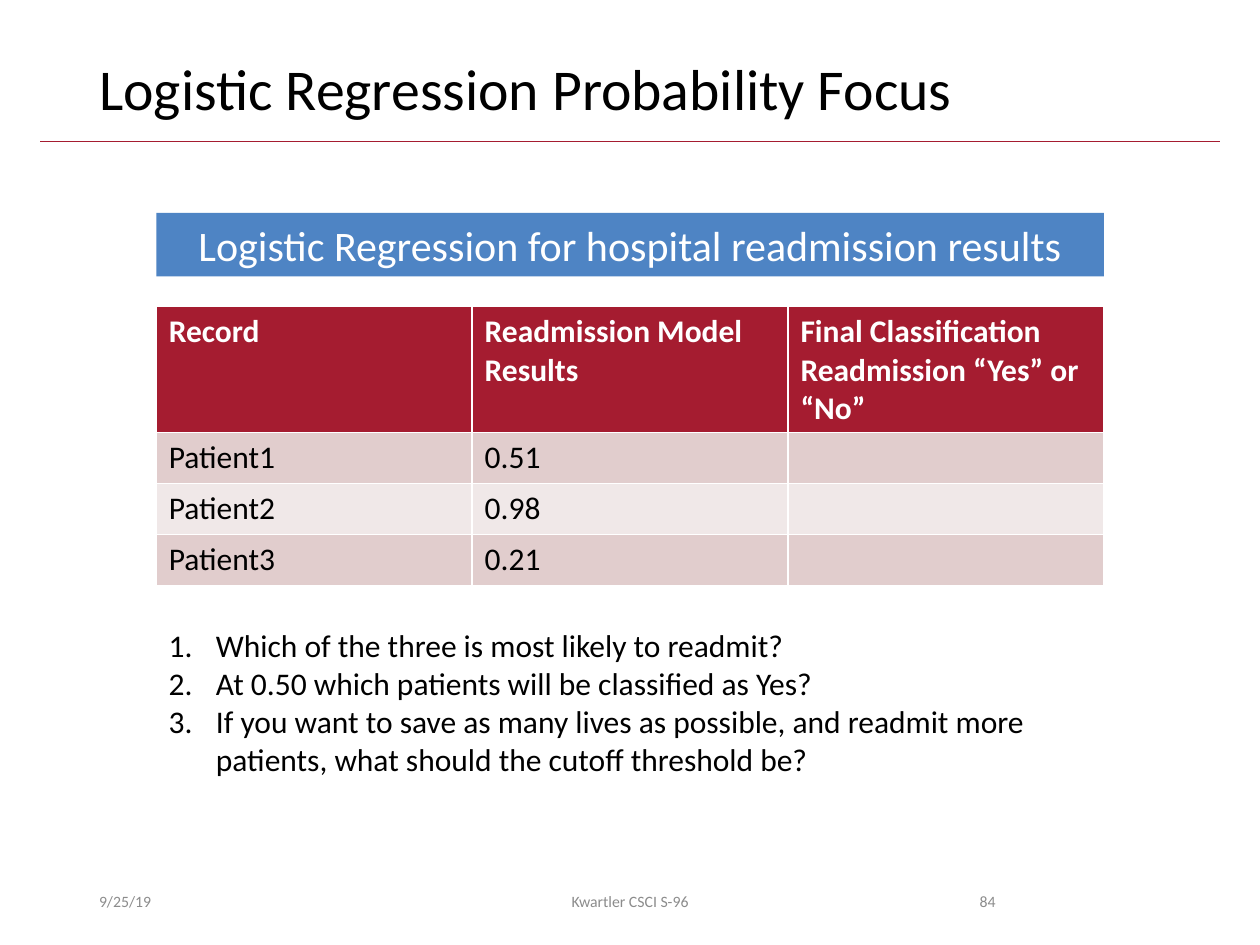
import pptx
import pptx.util
import pptx.dml.color
import pptx.enum.shapes
import pptx.enum.text
import pptx.oxml.ns
from lxml import etree

Pt = pptx.util.Pt
ALIGN = pptx.enum.text.PP_ALIGN
ANCHOR = pptx.enum.text.MSO_ANCHOR
CRIMSON, BLUE, GREY, WHITE, BLACK = "A51C30", "4E84C4", "8C8C8C", "FFFFFF", "000000"
BANDS = ("E1CDCD", "F0E8E8")
LEFT, WIDTH = 89.3, 541.5
RESULTS = [
    ("Record", "Readmission Model Results", "Final Classification\nReadmission “Yes” or “No”"),
    ("Patient1", "0.51", ""),
    ("Patient2", "0.98", ""),
    ("Patient3", "0.21", ""),
]
QUESTIONS = [
    "Which of the three is most likely to readmit?",
    "At 0.50 which patients will be classified as Yes?",
    "If you want to save as many lives as possible, and readmit more patients, "
    "what should the cutoff threshold be?",
]
FOOTERS = [
    ("9/25/19", 49.5, 162, ALIGN.LEFT),
    ("84", 508.5, 67.5, ALIGN.RIGHT),
    ("Kwartler CSCI S-96", 238.5, 243, ALIGN.CENTER),
]


def rgb(value):
    """Turn a hex string into a colour."""
    return pptx.dml.color.RGBColor.from_string(value)


def fill_solid(target, color):
    """Give a shape or cell a plain fill."""
    target.fill.solid()
    target.fill.fore_color.rgb = rgb(color)


def write(frame, text, size, color, align=ALIGN.LEFT, bold=False, numbered=False):
    """Write the lines of text as formatted paragraphs."""
    frame.word_wrap = True
    frame.text = text
    for paragraph in frame.paragraphs:
        if numbered:
            properties = paragraph._p.get_or_add_pPr()
            properties.set("marL", str(Pt(27)))
            properties.set("indent", str(-Pt(27)))
            number = etree.SubElement(properties, pptx.oxml.ns.qn("a:buAutoNum"))
            number.set("type", "arabicPeriod")
        paragraph.alignment = align
        font = paragraph.font
        font.name, font.size, font.bold = "Calibri", Pt(size), bold
        font.color.rgb = rgb(color)


def add_title(slide, text):
    """Place and format the title."""
    title = slide.shapes.title
    title.left, title.top, title.width, title.height = Pt(49.5), Pt(28.8), Pt(621), Pt(46.8)
    write(title.text_frame, text, 33, BLACK)
    title.text_frame.auto_size = pptx.enum.text.MSO_AUTO_SIZE.NONE
    title.text_frame.vertical_anchor = ANCHOR.MIDDLE
    title.text_frame.paragraphs[0].line_spacing = 0.9


def add_rule(slide):
    """Draw the thin line below the title."""
    rule = slide.shapes.add_connector(
        pptx.enum.shapes.MSO_CONNECTOR.STRAIGHT, Pt(23), Pt(80.6), Pt(697), Pt(80.6))
    rule.line.color.rgb = rgb(CRIMSON)
    rule.line.width = Pt(0.5)
    etree.SubElement(rule._element.spPr, pptx.oxml.ns.qn("a:effectLst"))


def add_text(slide, text, left, top, width, height, size, color,
             anchor=ANCHOR.TOP, **style):
    """Add a text box."""
    frame = slide.shapes.add_textbox(Pt(left), Pt(top), Pt(width), Pt(height)).text_frame
    write(frame, text, size, color, **style)
    frame.vertical_anchor = anchor


def add_banner(slide, text):
    """Add the coloured heading bar above the table."""
    banner = slide.shapes.add_shape(
        pptx.enum.shapes.MSO_SHAPE.RECTANGLE, Pt(LEFT), Pt(121.7), Pt(WIDTH), Pt(36.3))
    banner.shadow.inherit = False
    fill_solid(banner, BLUE)
    banner.line.fill.background()
    write(banner.text_frame, text, 24, WHITE, ALIGN.CENTER)
    banner.text_frame.vertical_anchor = ANCHOR.TOP


def add_results(slide):
    """Add the table with a header row and banded patients."""
    header_height, row_height = 72, 29.2
    height = header_height + row_height * (len(RESULTS) - 1)
    table = slide.shapes.add_table(
        len(RESULTS), len(RESULTS[0]), Pt(LEFT), Pt(175), Pt(WIDTH), Pt(height)).table
    for index, record in enumerate(RESULTS):
        header = index == 0
        table.rows[index].height = Pt(header_height if header else row_height)
        for column, text in enumerate(record):
            cell = table.cell(index, column)
            fill_solid(cell, CRIMSON if header else BANDS[(index - 1) % 2])
            write(cell.text_frame, text, 18, WHITE if header else BLACK, bold=header)


def main():
    """Build and save the slide."""
    deck = pptx.Presentation()
    deck.slide_width, deck.slide_height = Pt(720), Pt(540)
    slide = deck.slides.add_slide(deck.slide_layouts[5])
    add_rule(slide)
    add_title(slide, "Logistic Regression Probability Focus")
    for text, left, width, align in FOOTERS:
        add_text(slide, text, left, 500.5, width, 28.8, 9, GREY, ANCHOR.MIDDLE, align=align)
    add_banner(slide, "Logistic Regression for hospital readmission results")
    add_results(slide)
    add_text(slide, "\n".join(QUESTIONS), LEFT, 354.4, WIDTH, 94.3, 18, BLACK, numbered=True)
    deck.save("out.pptx")


if __name__ == "__main__":
    main()
